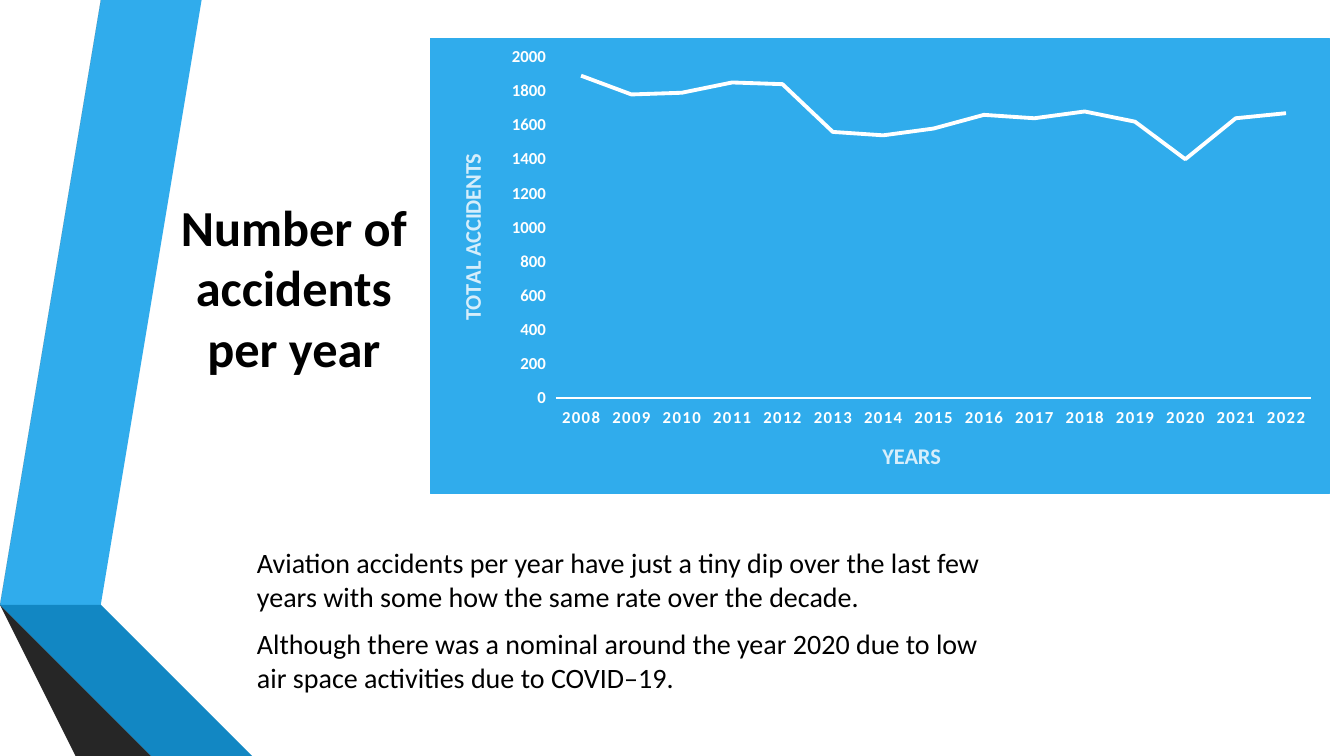
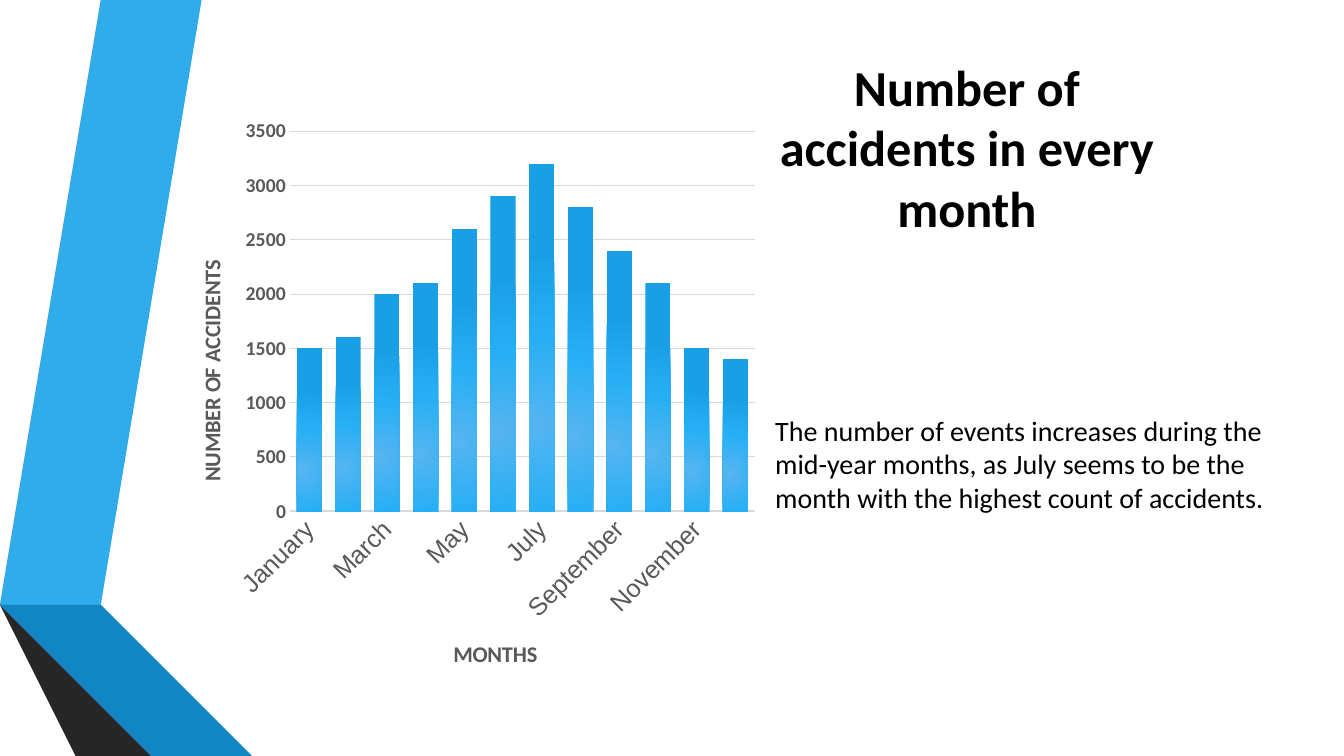
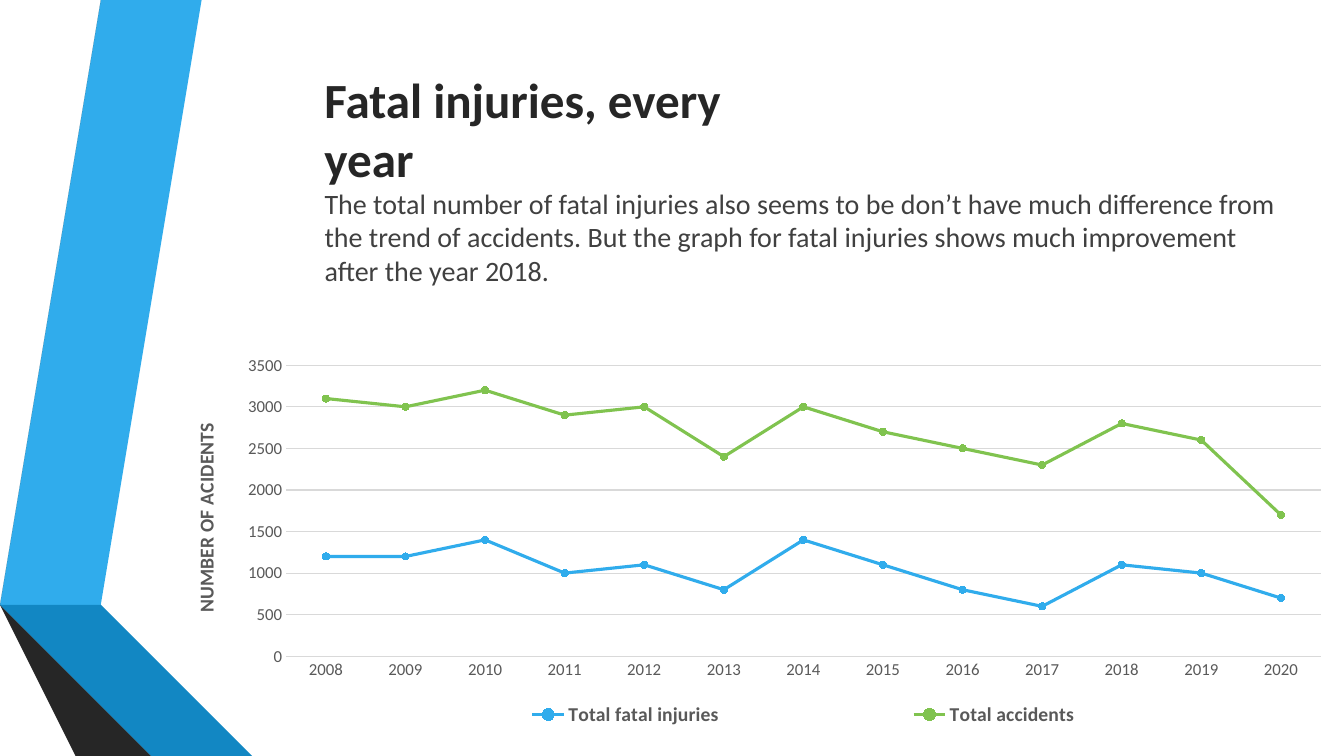
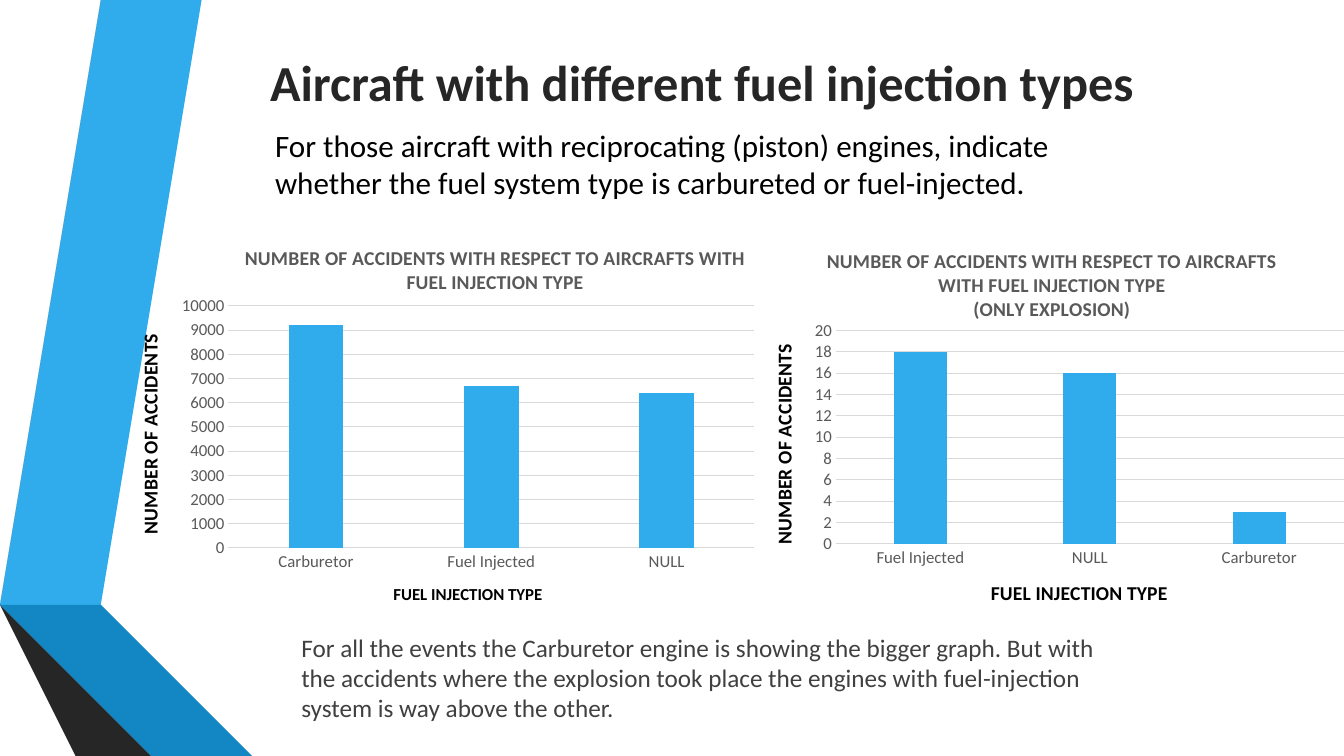
from dataclasses import dataclass

from pptx import Presentation
from pptx.chart.data import CategoryChartData
from pptx.dml.color import RGBColor
from pptx.enum.chart import XL_CHART_TYPE as Kind, XL_LEGEND_POSITION as LegendSide
from pptx.enum.chart import XL_MARKER_STYLE as Marker, XL_TICK_LABEL_POSITION as LabelSide
from pptx.enum.chart import XL_TICK_MARK as Tick
from pptx.enum.text import MSO_ANCHOR as Anchor, PP_ALIGN as Align
from pptx.oxml import parse_xml
from pptx.oxml.ns import nsdecls
from pptx.util import Inches, Pt


@dataclass(frozen=True)
class Theme:
    font: str = "Calibri"
    label_font: str = "Arial"
    black: str = "000000"
    white: str = "FFFFFF"
    heading: str = "262626"
    prose: str = "404040"
    muted: str = "595959"
    grid: str = "D9D9D9"
    blue: str = "30ACEC"
    deep_blue: str = "1287C3"
    navy: str = "0C5A82"
    pale_blue: str = "D6EEFB"
    green: str = "80C34F"
    glow: tuple = ("56B5F0", "27AFF5", "189FE5")
    title_size: float = 36
    lead_size: float = 22.2
    body_size: float = 20
    note_size: float = 18
    axis_title_size: float = 16
    label_size: float = 14
    tick_size: float = 12


T = Theme()

RIBBONS = [
    (T.blue, [(0.5, 5.78), (0.77, 5.83), (1.73, 0), (1.45, 0)]),
    (T.muted, [(1.39, 0), (1.11, 0), (0.16, 5.73), (0.44, 5.77)]),
    (T.heading, [(0.16, 5.73), (1.45, 7.5), (1.51, 7.5)]),
    (T.navy, [(0.5, 5.79), (2.08, 7.5), (2.14, 7.5)]),
    (T.deep_blue, [(0.5, 5.79), (2.14, 7.5), (2.83, 7.5), (0.77, 5.83), (0.5, 5.78)]),
    (T.prose, [(2.02, 7.5), (0.48, 5.83), (0.43, 5.78), (0.16, 5.73), (1.51, 7.5)]),
]


def rgb(code):
    return RGBColor.from_string(code)


def style_font(font, size, color, bold=False, name=T.font):
    font.name, font.size, font.bold = name, Pt(size), bold
    font.color.rgb = rgb(color)


def style_line(line, color, width):
    line.color.rgb = rgb(color)
    line.width = Pt(width)


def add_ribbons(slide):
    for color, (start, *corners) in RIBBONS:
        outline = slide.shapes.build_freeform(*start, scale=float(Inches(1)))
        outline.add_line_segments(corners, close=True)
        ribbon = outline.convert_to_shape()
        ribbon.shadow.inherit = False
        ribbon.fill.solid()
        ribbon.fill.fore_color.rgb = rgb(color)
        ribbon.line.fill.background()


def add_text(slide, box, lines, size=T.body_size, color=T.black, bold=False,
             align=Align.LEFT, anchor=Anchor.TOP):
    frame = slide.shapes.add_textbox(*map(Inches, box)).text_frame
    frame.word_wrap = True
    frame.vertical_anchor = anchor
    frame.text = "\n".join(lines)
    for paragraph in frame.paragraphs:
        paragraph.alignment = align
        paragraph.space_before = Pt(10)
        style_font(paragraph.font, size, color, bold)


def add_title(slide, box, title, size=T.title_size, color=T.heading, **place):
    add_text(slide, box, [title], size, color, bold=True, **place)


def set_layout(part, slot, target="", **shares):
    for old in part.xpath("c:layout"):
        part.remove(old)
    modes = "".join(f'<c:{axis}Mode val="edge"/>' for axis in "xy")
    values = "".join(f'<c:{key} val="{share}"/>' for key, share in shares.items())
    part.insert(slot, parse_xml(
        f'<c:layout {nsdecls("c")}><c:manualLayout>{target}{modes}{values}'
        "</c:manualLayout></c:layout>"))


def set_plot_area(chart, x, y, w, h):
    area = chart.element.xpath("c:chart/c:plotArea")[0]
    set_layout(area, 0, '<c:layoutTarget val="inner"/>', x=x, y=y, w=w, h=h)


def style_caption(holder, lines, size, color):
    frame = holder.text_frame
    frame.text = "\n".join(lines)
    for paragraph in frame.paragraphs:
        style_font(paragraph.font, size, color, bold=True)


def style_axis(axis, title, title_size, title_color, color, size, bold, name=T.font):
    axis.major_tick_mark = axis.minor_tick_mark = Tick.NONE
    style_font(axis.tick_labels.font, size, color, bold, name)
    if title:
        style_caption(axis.axis_title, [title], title_size, title_color)


def add_graph(slide, box, kind, categories, series, plot_area, top, step,
              x_title=None, y_title=None, x_title_size=T.label_size,
              y_title_size=T.label_size, title_color=T.muted, label_color=T.muted,
              x_size=T.tick_size, y_size=T.tick_size, x_bold=False, y_bold=False,
              x_font=T.font, baseline=T.grid, baseline_width=0.75, grid=True):
    data = CategoryChartData()
    data.categories = categories
    for name, values in series:
        data.add_series(name, values)
    chart = slide.shapes.add_chart(kind, *map(Inches, box), data).chart
    style_font(chart.font, 10, T.black)
    chart.has_legend = chart.has_title = False
    chart.plots[0].vary_by_categories = False

    across, up = chart.category_axis, chart.value_axis
    style_axis(across, x_title, x_title_size, title_color, label_color, x_size, x_bold, x_font)
    style_axis(up, y_title, y_title_size, title_color, label_color, y_size, y_bold)
    style_line(across.format.line, baseline, baseline_width)
    up.format.line.fill.background()
    up.minimum_scale, up.maximum_scale, up.major_unit = 0, top, step
    up.has_major_gridlines = grid
    if grid:
        style_line(up.major_gridlines.format.line, T.grid, 0.75)
    for body in chart.element.xpath(".//c:valAx/c:title//a:bodyPr"):
        body.set("rot", "-5400000")
        body.set("vert", "horz")
    set_plot_area(chart, *plot_area)
    return chart


def style_curves(chart, colors, width, dot=None):
    for curve, color in zip(chart.plots[0].series, colors):
        curve.smooth = False
        style_line(curve.format.line, color, width)
        curve.marker.style = Marker.CIRCLE if dot else Marker.NONE
        if dot:
            curve.marker.size = dot
            curve.marker.format.fill.solid()
            curve.marker.format.fill.fore_color.rgb = rgb(color)
            style_line(curve.marker.format.line, color, 0.75)


def style_columns(chart, gap, overlap):
    plot = chart.plots[0]
    plot.gap_width, plot.overlap = gap, overlap
    fill = plot.series[0].format.fill
    fill.solid()
    fill.fore_color.rgb = rgb(T.blue)


def add_glow(chart):
    stops = "".join(f'<a:gs pos="{i * 50000}"><a:srgbClr val="{color}"/></a:gs>'
                    for i, color in enumerate(T.glow))
    flat = chart.element.xpath(".//c:ser/c:spPr/a:solidFill")[0]
    flat.getparent().replace(flat, parse_xml(
        f'<a:gradFill {nsdecls("a")}><a:gsLst>{stops}</a:gsLst><a:path path="circle">'
        '<a:fillToRect l="50000" t="100000" r="100000" b="50000"/></a:path></a:gradFill>'))


def add_backdrop(chart, color):
    paint = f'<a:solidFill><a:srgbClr val="{color}"/></a:solidFill>'
    chart.element.xpath("c:chart")[0].addnext(parse_xml(
        f'<c:spPr {nsdecls("c", "a")}>{paint}<a:ln w="9525">{paint}</a:ln></c:spPr>'))


def add_wide_legend(chart):
    chart.has_legend = True
    chart.legend.position = LegendSide.BOTTOM
    chart.legend.include_in_layout = False
    style_font(chart.legend.font, T.label_size, T.muted, bold=True)
    set_layout(chart.element.xpath("c:chart/c:legend")[0], 1, x=0.14, y=0.89, w=0.79, h=0.1)


def years(last):
    return [str(year) for year in range(2008, last + 1)]


def build_yearly_accidents(slide):
    add_title(slide, (1.57, 2.01, 2.69, 1.67), "Number of accidents per year",
              color=T.black, align=Align.CENTER, anchor=Anchor.MIDDLE)
    add_text(slide, (2.45, 4.8, 7.58, 2.7), [
        "Aviation accidents per year have just a tiny dip over the last few years "
        "with some how the same rate over the decade.",
        "Although there was a nominal around the year 2020 due to low air space "
        "activities due to COVID–19.",
    ], anchor=Anchor.MIDDLE)
    totals = [1890, 1780, 1790, 1850, 1840, 1560, 1540, 1580,
              1660, 1640, 1680, 1620, 1400, 1640, 1670]
    chart = add_graph(
        slide, (4.26, 0.38, 8.93, 4.52), Kind.LINE_STACKED, years(2022),
        [("Series 1", totals)], (0.14, 0.04, 0.84, 0.75), 2000, 200,
        "YEARS", "TOTAL ACCIDENTS", T.axis_title_size, T.axis_title_size,
        T.pale_blue, T.white, x_bold=True, y_bold=True,
        baseline=T.white, baseline_width=1, grid=False)
    for axis in (chart.category_axis, chart.value_axis):
        axis.tick_label_position = LabelSide.LOW
    for run in chart.element.xpath(".//c:catAx/c:txPr//a:defRPr"):
        run.set("spc", "100")
    style_curves(chart, [T.white], 2.75)
    add_backdrop(chart, T.blue)


def build_monthly_accidents(slide):
    add_title(slide, (7.59, 0.62, 4, 1.67), "Number of accidents in every month",
              color=T.black, align=Align.CENTER, anchor=Anchor.MIDDLE)
    add_text(slide, (7.59, 2.62, 5.11, 3.96), [
        "The number of events increases during the mid-year months, as July seems "
        "to be the month with the highest count of accidents.",
    ], anchor=Anchor.MIDDLE)
    months = ["January", "February", "March", "April", "May", "June", "July",
              "August", "September", "October", "November", "December"]
    counts = [1500, 1600, 2000, 2100, 2600, 2900, 3200, 2800, 2400, 2100, 1500, 1400]
    chart = add_graph(
        slide, (1.91, 1.11, 5.69, 6.39), Kind.COLUMN_STACKED, months,
        [("Series 1", counts)], (0.17, 0.03, 0.81, 0.59), 3500, 500,
        "MONTHS", "NUMBER OF ACCIDENTS", T.axis_title_size, T.axis_title_size,
        x_size=T.note_size, y_size=T.label_size, y_bold=True,
        x_font=T.label_font, baseline_width=1)
    for body in chart.element.xpath(".//c:catAx/c:txPr/a:bodyPr"):
        body.set("rot", "-2700000")
    style_columns(chart, 54, 100)
    add_glow(chart)


def build_fatal_injuries(slide):
    fatal = [1200, 1200, 1400, 1000, 1100, 800, 1400, 1100, 800, 600, 1100, 1000, 700]
    totals = [1900, 1800, 1800, 1900, 1900, 1600, 1600, 1600, 1700, 1700, 1700, 1600, 1000]
    chart = add_graph(
        slide, (1.8, 3.47, 11.53, 3.85), Kind.LINE_MARKERS_STACKED, years(2020),
        [("Total fatal injuries", fatal), ("Total accidents", totals)],
        (0.09, 0.04, 0.89, 0.75), 3500, 500, y_title="NUMBER OF ACIDENTS")
    style_curves(chart, [T.blue, T.green], 2.25, dot=5)
    add_wide_legend(chart)
    add_title(slide, (3.12, 0.64, 4.9, 1.67), "Fatal injuries, every year", size=35.1)
    add_text(slide, (3.12, 1.8, 9.75, 1.43), [
        "The total number of fatal injuries also seems to be don’t have much difference "
        "from the trend of accidents. But the graph for fatal injuries shows much "
        "improvement after the year 2018.",
    ], color=T.prose)


def add_fuel_chart(slide, box, heading, heading_at, categories, counts,
                   plot_area, top, step, x_title_size):
    chart = add_graph(
        slide, box, Kind.COLUMN_CLUSTERED, categories, [("Series 1", counts)],
        plot_area, top, step, "FUEL INJECTION TYPE", "NUMBER OF ACCIDENTS",
        x_title_size, title_color=T.black)
    style_columns(chart, 219, -27)
    chart.has_title = True
    style_caption(chart.chart_title, heading, T.label_size, T.muted)
    x, y = heading_at
    set_layout(chart.element.xpath("c:chart/c:title")[0], 1, x=x, y=y)


def build_fuel_injection(slide):
    add_title(slide, (2.58, 0.46, 10.37, 1.54), "Aircraft with different fuel injection types")
    add_text(slide, (2.63, 1.11, 8.33, 1.03), [
        "For those aircraft with reciprocating (piston) engines, indicate whether the "
        "fuel system type is carbureted or fuel-injected.",
    ], size=T.lead_size, anchor=Anchor.MIDDLE)
    heading = "NUMBER OF ACCIDENTS WITH RESPECT TO AIRCRAFTS WITH FUEL INJECTION TYPE"
    add_fuel_chart(slide, (7.45, 2.14, 6, 4.07), [heading, "(ONLY EXPLOSION)"], (0.12, 0.07),
                   ["Fuel Injected", "NULL", "Carburetor"], [18, 16, 3],
                   (0.14, 0.28, 0.84, 0.52), 20, 2, T.label_size)
    add_fuel_chart(slide, (1.17, 2.14, 6.44, 4.07), [heading], (0.19, 0.06),
                   ["Carburetor", "Fuel Injected", "NULL"], [9200, 6700, 6400],
                   (0.17, 0.22, 0.81, 0.59), 10000, 1000, T.tick_size)
    add_text(slide, (2.89, 6.22, 8.33, 1.03), [
        "For all the events the Carburetor engine is showing the bigger graph. But with "
        "the accidents where the explosion took place the engines with fuel-injection "
        "system is way above the other.",
    ], size=T.note_size, color=T.prose)


def main():
    deck = Presentation()
    deck.slide_width, deck.slide_height = Inches(13.33), Inches(7.5)
    blank = deck.slide_layouts[6]
    for build in (build_yearly_accidents, build_monthly_accidents,
                  build_fatal_injuries, build_fuel_injection):
        slide = deck.slides.add_slide(blank)
        add_ribbons(slide)
        build(slide)
    deck.save("out.pptx")


if __name__ == "__main__":
    main()
